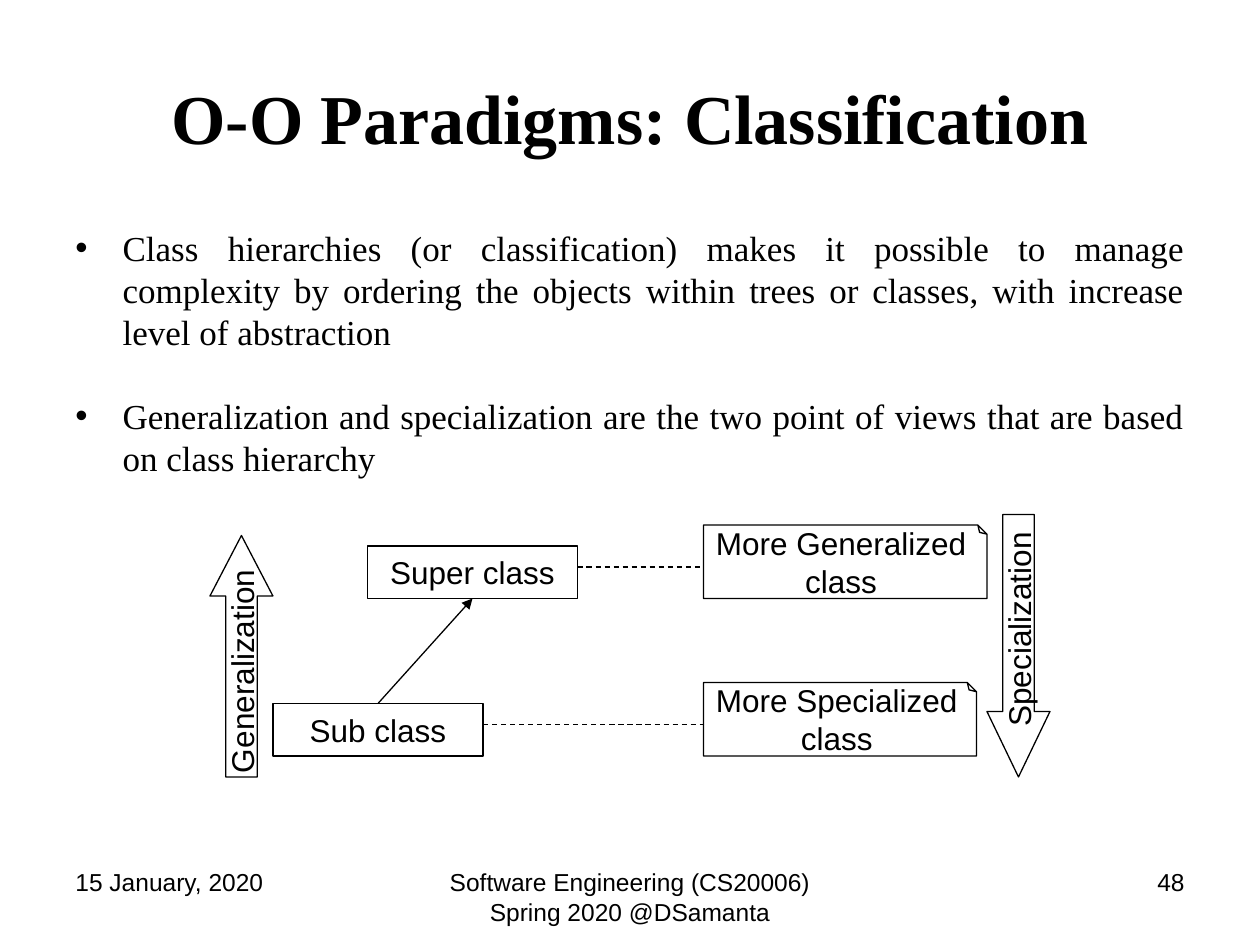
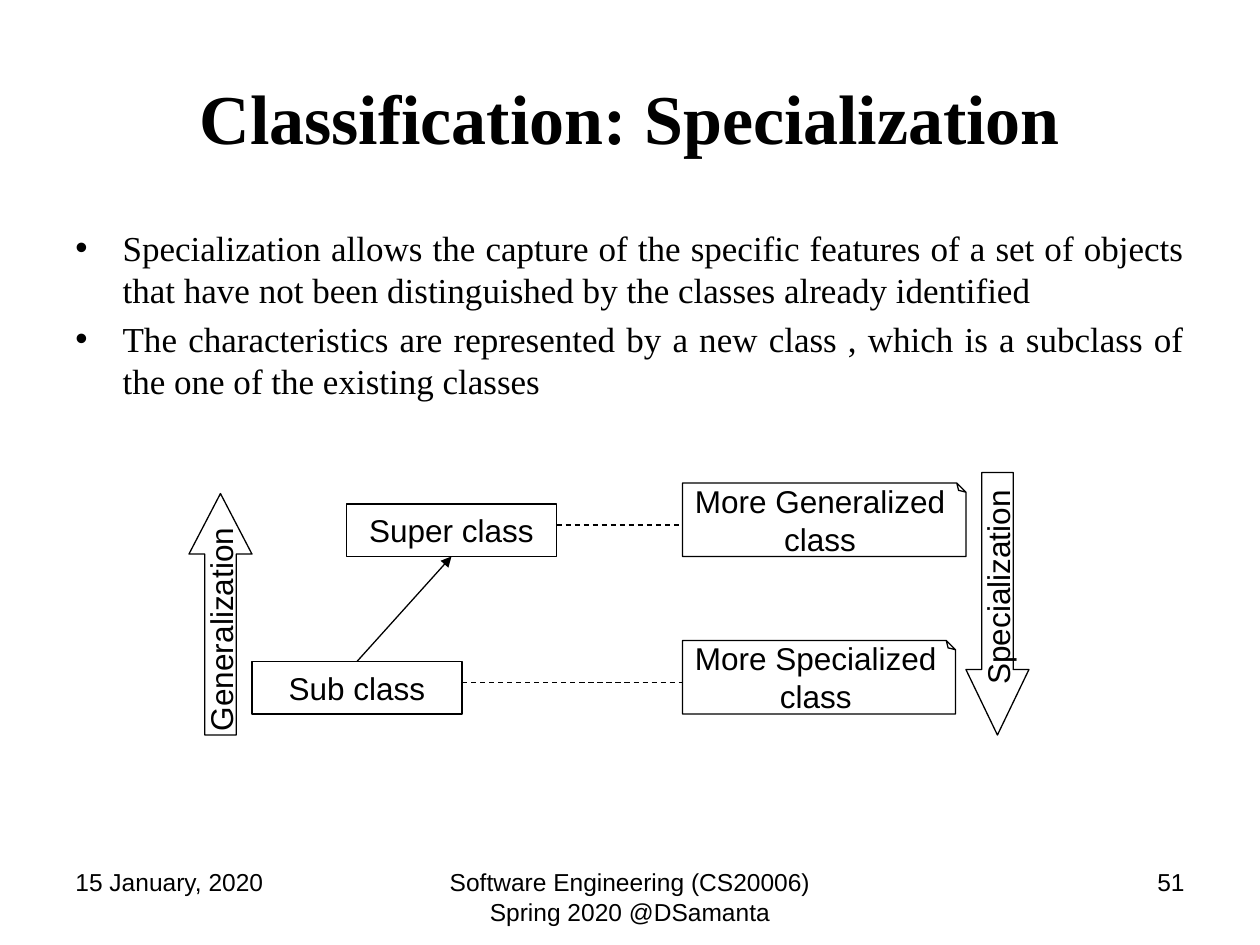
import pptx
import pptx.util
import pptx.dml.color
import pptx.enum.dml
import pptx.enum.shapes
import pptx.enum.text
import pptx.oxml.ns
import lxml.etree

PX = 6350  # 144 px to the inch
COLORS = {"ink": "000000", "page": "FFFFFF"}
SERIF, SANS = "Times New Roman", "Arial"
ALIGN = pptx.enum.text.PP_ALIGN
ANCHOR = pptx.enum.text.MSO_ANCHOR
SHAPE = pptx.enum.shapes.MSO_SHAPE

TITLE_BOX = (72, 43, 1296, 180)
BODY_BOX = (72, 252, 1296, 713)
FOOTER_BOX = (72, 984, 1296, 75)
DIAGRAM_SIZE = (960, 300)
BULLET_INDENT = 54

SLIDES = [
    {
        "title": "O-O Paradigms: Classification",
        "bullets": [
            "Class hierarchies (or classification) makes it possible to manage complexity "
            "by ordering the objects within trees or classes, with increase level of abstraction",
            "Generalization and specialization are the two point of views that are based "
            "on class hierarchy",
        ],
        "gap": 24,
        "diagram_at": (240, 588),
        "number": "48",
    },
    {
        "title": "Classification: Specialization",
        "bullets": [
            "Specialization allows the capture of the specific features of a set of objects "
            "that have not been distinguished by the classes already identified",
            "The characteristics are represented by a new class , which is a subclass of "
            "the one of the existing classes",
        ],
        "gap": 4,
        "diagram_at": (216, 540),
        "number": "51",
    },
]


def emu(*lengths):
    return [pptx.util.Emu(round(length * PX)) for length in lengths]


def color(name):
    return pptx.dml.color.RGBColor.from_string(COLORS[name])


def add_child(parent, tag, **attributes):
    return lxml.etree.SubElement(parent, pptx.oxml.ns.qn(tag), attributes)


def write(shape, text, size=18, font=SANS, bold=False, align=ALIGN.CENTER,
          anchor=ANCHOR.MIDDLE, wrap=True, before=0, gap=0):
    """Put each line of text in its own paragraph; gap is the space between them in points."""
    frame = shape.text_frame
    frame.word_wrap = wrap
    frame.vertical_anchor = anchor
    for index, line in enumerate(text.split("\n")):
        para = frame.add_paragraph() if index else frame.paragraphs[0]
        para.alignment = align
        para.space_before = pptx.util.Pt(gap if index else before)
        span = para.add_run()
        span.text = line
        span.font.size = pptx.util.Pt(size)
        span.font.name = font
        span.font.bold = bold
        span.font.color.rgb = color("ink")
    return frame


def add_text(page, box, text, **style):
    return write(page.shapes.add_textbox(*emu(*box)), text, **style)


def add_outline(page, kind, box, text, turned=False):
    """Draw an unfilled shape in the box it shows in, turned a quarter left if asked."""
    left, top, width, height = box
    if turned:
        left, top = left + (width - height) / 2, top + (height - width) / 2
        width, height = height, width
    shape = page.shapes.add_shape(kind, *emu(left, top, width, height))
    shape.rotation = 270 if turned else 0
    shape.shadow.inherit = False
    shape.fill.background()
    shape.line.color.rgb = color("ink")
    shape.line.width = pptx.util.Pt(0.75)
    write(shape, text, wrap=False)
    return shape


def add_line(page, start, end, dashed=False, arrow=False):
    line = page.shapes.add_connector(
        pptx.enum.shapes.MSO_CONNECTOR.STRAIGHT, *emu(*start, *end))
    line.line.color.rgb = color("ink")
    line.line.width = pptx.util.Pt(0.75)
    if dashed:
        line.line.dash_style = pptx.enum.dml.MSO_LINE.DASH
    if arrow:
        add_child(line.line._get_or_add_ln(), "a:tailEnd", type="triangle")
    add_child(line._element.spPr, "a:effectLst")


def add_note(page, box, text):
    note = add_outline(page, SHAPE.FOLDED_CORNER, box, text, turned=True)
    guides = next(note._element.iter(pptx.oxml.ns.qn("a:avLst")))
    add_child(guides, "a:gd", name="adj", fmla="val 12500")
    note.text_frame._txBody.bodyPr.set("vert", "eaVert")


def add_block_arrow(page, kind, box, text, head):
    arrow = add_outline(page, kind, box, text, turned=True)
    arrow.adjustments[0] = 0.5
    arrow.adjustments[1] = head


def add_bullets(page, box, bullets, gap):
    frame = add_text(page, box, "\n".join(bullets), size=20, font=SERIF,
                     align=ALIGN.JUSTIFY, anchor=ANCHOR.TOP, before=4, gap=gap)
    indent = BULLET_INDENT * PX
    for para in frame.paragraphs:
        properties = para._p.get_or_add_pPr()
        properties.set("marL", str(indent))
        properties.set("indent", str(-indent))
        add_child(properties, "a:buFont", typeface=SANS)
        add_child(properties, "a:buChar", char="•")


def add_hierarchy(page, box):
    """Super and sub class with their notes, between the two direction arrows."""
    left, top, width, height = box
    class_width, class_height = 240, 60
    arrow_width = 72
    note_left = left + 564
    rows = [
        ("Super class", left + 180, top + 36, "More Generalized\nclass", 324, top + 12),
        ("Sub class", left + 72, top + 216, "More Specialized\nclass", 312, top + 192),
    ]
    for name, class_left, class_top, note, note_width, note_top in rows:
        add_outline(page, SHAPE.RECTANGLE,
                    (class_left, class_top, class_width, class_height), name)
        add_note(page, (note_left, note_top, note_width, 84), note)
        link_y = class_top + 24
        add_line(page, (class_left + class_width, link_y), (note_left, link_y), dashed=True)

    (_, super_left, super_top, *_), (_, sub_left, sub_top, *_) = rows
    add_line(page, (sub_left + class_width / 2, sub_top),
             (super_left + class_width / 2, super_top + class_height), arrow=True)

    add_block_arrow(page, SHAPE.RIGHT_ARROW, (left, top + 24, arrow_width, height - 24),
                    "Generalization", 0.96)
    add_block_arrow(page, SHAPE.LEFT_ARROW,
                    (left + width - arrow_width, top, arrow_width, height),
                    "Specialization", 1.04)


def add_footer(page, box, number):
    left, top, width, height = box
    side, middle = 336, 456
    cells = [
        (left, side, "15 January, 2020", ALIGN.LEFT),
        (left + (width - middle) / 2, middle,
         "Software Engineering (CS20006) Spring 2020 @DSamanta", ALIGN.CENTER),
        (left + width - side, side, number, ALIGN.RIGHT),
    ]
    for cell_left, cell_width, text, align in cells:
        add_text(page, (cell_left, top, cell_width, height), text,
                 size=14, align=align, anchor=ANCHOR.TOP)


def add_page(deck, content):
    page = deck.slides.add_slide(deck.slide_layouts[6])
    page.background.fill.solid()
    page.background.fill.fore_color.rgb = color("page")
    add_text(page, TITLE_BOX, content["title"], size=40, font=SERIF, bold=True)
    add_bullets(page, BODY_BOX, content["bullets"], content["gap"])
    add_hierarchy(page, (*content["diagram_at"], *DIAGRAM_SIZE))
    add_footer(page, FOOTER_BOX, content["number"])


def main():
    deck = pptx.Presentation()
    deck.slide_width, deck.slide_height = emu(1440, 1080)
    for content in SLIDES:
        add_page(deck, content)
    deck.save("out.pptx")


if __name__ == "__main__":
    main()
